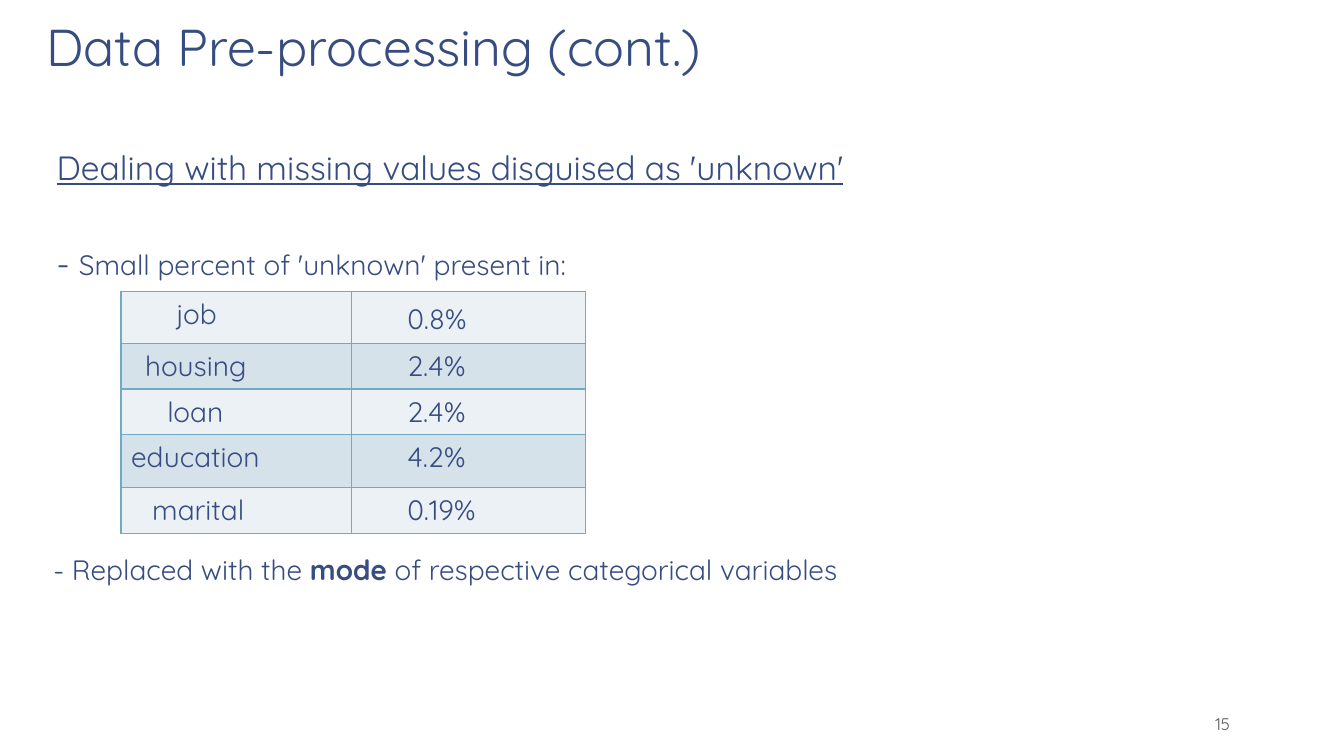
from lxml.etree import SubElement
from pptx import Presentation
from pptx.dml.color import RGBColor
from pptx.enum.text import MSO_ANCHOR, PP_ALIGN
from pptx.oxml.ns import qn
from pptx.util import Inches, Pt

NAVY = RGBColor(0x37, 0x4C, 0x81)
GRAY = RGBColor(0x59, 0x59, 0x59)
BORDER = RGBColor(0x70, 0xAA, 0xC4)
BANDS = (RGBColor(0xEB, 0xF1, 0xF5), RGBColor(0xD5, 0xE2, 0xEA))
FONT = "Quicksand"
WIDE_INSETS = (0.13, 0.07)
CELL_INSET = 0.1

# Variable, its share of unknowns, and the label's left inset in inches
UNKNOWNS = [
    ("job", "0.8%", 0.55),
    ("housing", "2.4%", 0.24),
    ("loan", "2.4%", 0.46),
    ("education", "4.2%", CELL_INSET),
    ("marital", "0.19%", 0.31),
]
VALUE_INSET = 0.55


def add_text(para, text, size=20, color=NAVY, bold=False, underline=False):
    span = para.add_run()
    span.text = text
    span.font.name = FONT
    span.font.size = Pt(size)
    span.font.color.rgb = color
    span.font.bold = bold
    span.font.underline = underline


def add_borders(cell):
    properties = cell._tc.get_or_add_tcPr()
    for index, side in enumerate(("a:lnL", "a:lnR", "a:lnT", "a:lnB")):
        line = properties.makeelement(qn(side), {"w": str(Pt(1))})
        fill = SubElement(line, qn("a:solidFill"))
        SubElement(fill, qn("a:srgbClr"), val=str(BORDER))
        properties.insert(index, line)


class SlideBuilder:
    """Places elements on a grid of 100 columns by 100 rows."""

    def __init__(self, deck):
        self.deck = deck
        self.page = deck.slides.add_slide(deck.slide_layouts[6])

    def across(self, columns):
        return round(self.deck.slide_width * columns / 100)

    def down(self, rows):
        return round(self.deck.slide_height * rows / 100)

    def place(self, left, top, width, height):
        return self.across(left), self.down(top), self.across(width), self.down(height)

    def text_box(self, area, paragraphs, insets=WIDE_INSETS, spacing=0.95,
                 after=(), align=PP_ALIGN.LEFT, anchor=MSO_ANCHOR.TOP):
        """Each paragraph is a list of (text, format) pairs."""
        frame = self.page.shapes.add_textbox(*self.place(*area)).text_frame
        frame.word_wrap = True
        frame.vertical_anchor = anchor
        frame.margin_left = frame.margin_right = Inches(insets[0])
        frame.margin_top = frame.margin_bottom = Inches(insets[1])
        for index, spans in enumerate(paragraphs):
            para = frame.add_paragraph() if index else frame.paragraphs[0]
            para.line_spacing = spacing
            para.alignment = align
            if index < len(after):
                para.space_after = Pt(after[index])
            for text, style in spans:
                add_text(para, text, **style)

    def table(self, left, top, columns, rows, records):
        area = self.place(left, top, sum(columns), sum(rows))
        table = self.page.shapes.add_table(len(rows), len(columns), *area).table
        table.first_row = table.horz_banding = False
        for column, width in zip(table.columns, columns):
            column.width = self.across(width)
        for index, (height, record) in enumerate(zip(rows, records)):
            table.rows[index].height = self.down(height)
            label, value, inset = record
            for column, (text, indent) in enumerate(((label, inset), (value, VALUE_INSET))):
                cell = table.cell(index, column)
                cell.margin_left = Inches(indent)
                cell.fill.solid()
                cell.fill.fore_color.rgb = BANDS[index % 2]
                add_borders(cell)
                add_text(cell.text_frame.paragraphs[0], text)
        # The first value sits a little lower than its label
        table.cell(0, 1).margin_top = Inches(0.1)


def main():
    deck = Presentation()
    deck.slide_width, deck.slide_height = Inches(13.33), Inches(7.5)
    slide = SlideBuilder(deck)

    # Heading and first point
    slide.text_box((3.23, 18.93, 64.07, 71.07), [
        [("Dealing with missing values disguised as 'unknown'",
          {"size": 24, "underline": True})],
        [("- ", {"size": 24}), ("Small percent of 'unknown' present in:", {})],
    ], after=(40, 6))

    # Share of unknowns by variable
    slide.table(9, 38.53, (17.18, 17.4), (6.93, 6, 6, 7.07, 6), UNKNOWNS)

    # Second point
    slide.text_box((3.23, 72.8, 65.27, 5.6), [[
        ("- Replaced with the ", {}),
        ("mode ", {"bold": True}),
        ("of respective categorical variables", {}),
    ]], insets=(0.1, 0.05), after=(6,))

    # Page number
    slide.text_box((83.42, 93.33, 9.08, 4.67), [[("15", {"size": 12, "color": GRAY})]],
                   spacing=1, align=PP_ALIGN.RIGHT, anchor=MSO_ANCHOR.BOTTOM)

    # Title
    slide.text_box((2.48, 2.27, 83.35, 11.47),
                   [[("Data Pre-processing (cont.)", {"size": 37})]], spacing=0.85)

    deck.save("out.pptx")


if __name__ == "__main__":
    main()
